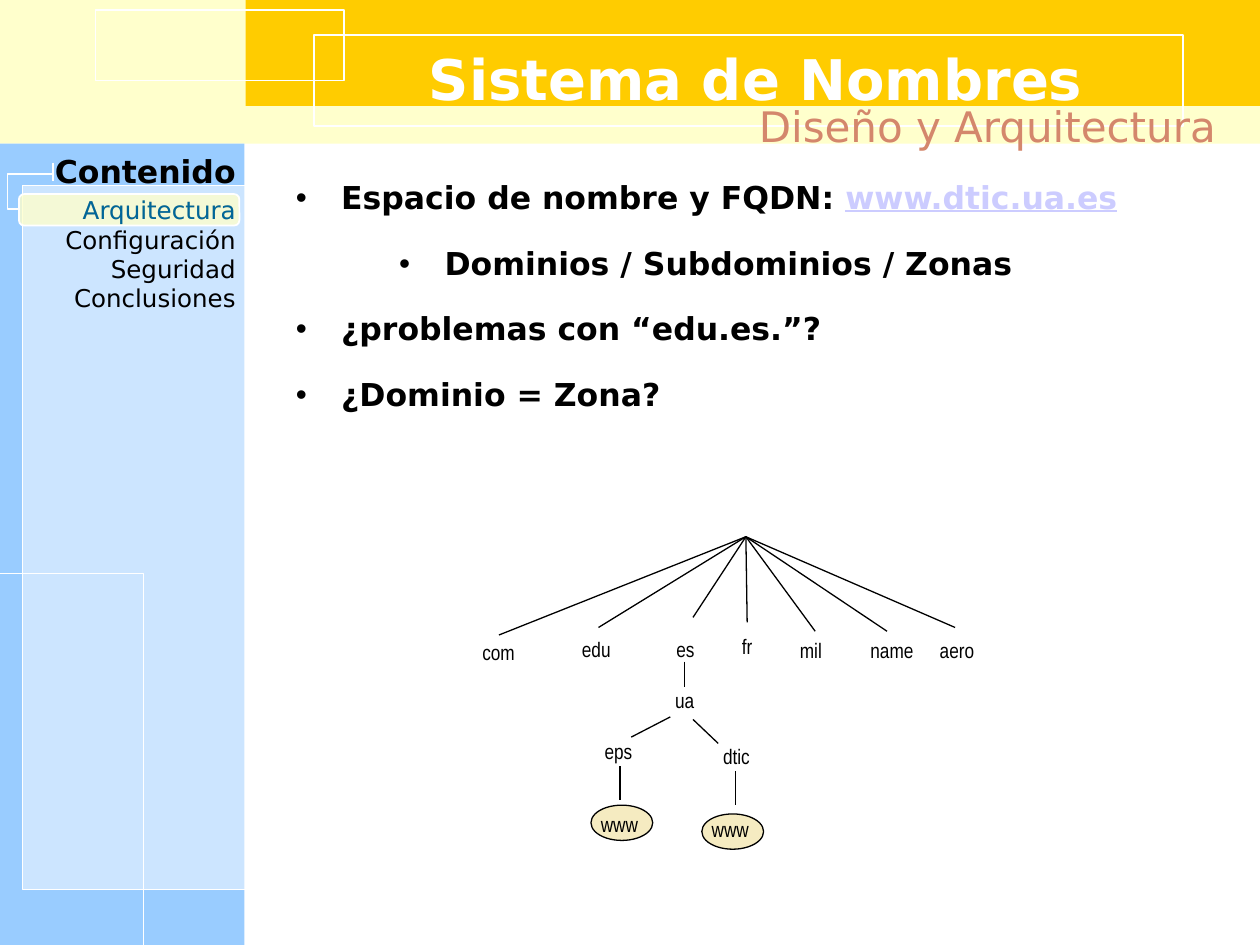
from lxml import etree
from pptx import Presentation
from pptx.dml.color import RGBColor
from pptx.enum.shapes import MSO_CONNECTOR, MSO_SHAPE
from pptx.enum.text import MSO_ANCHOR, PP_ALIGN
from pptx.oxml.ns import qn
from pptx.util import Inches, Pt

SANS, NARROW = "DejaVu Sans", "Arial Narrow"
BLACK, WHITE, CREAM = "000000", "FFFFFF", "FFFFCC"


def rgb(color):
    return RGBColor.from_string(color)


def style_outline(shape, fill=None, line=None, weight=0.75, opacity=None):
    """Set fill and line, where None means none, and drop the shadow."""
    shape.shadow.inherit = False
    if fill:
        shape.fill.solid()
        shape.fill.fore_color.rgb = rgb(fill)
        if opacity:
            tint = shape._element.spPr.find(qn("a:solidFill")).find(qn("a:srgbClr"))
            etree.SubElement(tint, qn("a:alpha"), val=str(opacity * 1000))
    else:
        shape.fill.background()
    if line:
        shape.line.color.rgb = rgb(line)
        shape.line.width = Pt(weight)
    else:
        shape.line.fill.background()


def add_preset(slide, preset, left, top, width, height, **style):
    shape = slide.shapes.add_shape(
        preset, Inches(left), Inches(top), Inches(width), Inches(height))
    style_outline(shape, **style)
    return shape


def add_line(slide, start, end, color=BLACK):
    line = slide.shapes.add_connector(
        MSO_CONNECTOR.STRAIGHT, *(Inches(v) for v in (*start, *end)))
    line.line.color.rgb = rgb(color)
    line.line.width = Pt(0.75)
    etree.SubElement(line._element.spPr, qn("a:effectLst"))


def set_font(paragraph, size, color, name=SANS, bold=False):
    font = paragraph.font
    font.name, font.size, font.bold = name, Pt(size), bold
    font.color.rgb = rgb(color)


def add_text(slide, left, top, width, height, lines, size, color=BLACK,
             name=SANS, bold=False, align=PP_ALIGN.RIGHT):
    frame = slide.shapes.add_textbox(
        Inches(left), Inches(top), Inches(width), Inches(height)).text_frame
    frame.word_wrap = True
    frame.text = "\n".join(lines)
    for paragraph in frame.paragraphs:
        paragraph.alignment = align
        set_font(paragraph, size, color, name, bold)
    return frame


def add_header(slide, left, top, width):
    rect = MSO_SHAPE.RECTANGLE
    add_preset(slide, rect, left, top, width, 1.14, fill=CREAM)
    add_preset(slide, rect, left + 1.95, top, width - 1.95, 0.84, fill="FFCC00")
    add_preset(slide, rect, left + 2.49, top + 0.28, 6.9, 0.72, line=WHITE, weight=1)
    add_preset(slide, rect, left + 0.76, top + 0.08, 1.97, 0.56, line=WHITE)

    title = slide.shapes.title
    title.left, title.top = Inches(left + 2.08), Inches(top + 0.22)
    title.width, title.height = Inches(7.84), Inches(0.8)
    title.text_frame.text = "Sistema de Nombres"
    title.text_frame.vertical_anchor = MSO_ANCHOR.MIDDLE
    heading = title.text_frame.paragraphs[0]
    heading.alignment = PP_ALIGN.CENTER
    set_font(heading, 32, WHITE, bold=True)
    slide.shapes._spTree.append(title._element)  # in front of the bands

    add_text(slide, left + 1.95, top + 0.75, 7.8, 0.57,
             ["Diseño y Arquitectura"], 24, "D4876C")


def add_sidebar(slide, left, top, width, height):
    rect = MSO_SHAPE.RECTANGLE
    add_preset(slide, rect, left, top, width, height, fill="99CCFF")
    add_preset(slide, rect, left - 0.02, top + 3.41, 1.16, 2.96, line=WHITE)
    add_preset(slide, rect, left + 0.18, top + 0.33, 1.77, 5.59,
               fill=WHITE, line=WHITE, opacity=50)
    sections = ["Arquitectura", "Configuración", "Seguridad", "Conclusiones"]
    add_text(slide, left, top + 0.36, 1.97, 1.03, sections, 14)
    add_text(slide, left, top + 0.02, 1.97, 0.4, ["Contenido"], 18, bold=True)
    add_line(slide, (left + 0.42, top + 0.15), (left + 0.42, top + 0.3), WHITE)

    marker = add_preset(slide, MSO_SHAPE.ROUNDED_RECTANGLE, left + 0.15, top + 0.4,
                        1.75, 0.25, fill=CREAM, line=WHITE, weight=1, opacity=80)
    marker.adjustments[0] = 0.167
    add_text(slide, left + 0.14, top + 0.36, 1.83, 0.33, sections[:1], 14, "006699")
    hook = [(Inches(left + x), Inches(top + y))
            for x, y in ((0.41, 0.24), (0.06, 0.24), (0.06, 0.52), (0.14, 0.52))]
    builder = slide.shapes.build_freeform(*hook[0])
    builder.add_line_segments(hook[1:], close=False)
    style_outline(builder.convert_to_shape(), line=WHITE, weight=1)


def set_bullet(paragraph, indent):
    props = paragraph._p.get_or_add_pPr()
    props.set("marL", str(Inches(indent)))
    props.set("indent", str(Inches(-0.36)))
    color = etree.Element(qn("a:buClr"))
    etree.SubElement(color, qn("a:srgbClr"), val=BLACK)
    bullet_font = etree.Element(qn("a:buFont"), typeface="Arial")
    bullet = etree.Element(qn("a:buChar"), char="•")
    text_font = props.find(qn("a:defRPr"))
    for part in (color, bullet_font, bullet):
        text_font.addprevious(part)


def add_points(slide, left, top, width, height):
    points = [("Espacio de nombre y FQDN: ", 0),
              ("Dominios / Subdominios / Zonas", 1),
              ("¿problemas con “edu.es.”?", 0),
              ("¿Dominio = Zona?", 0)]
    frame = add_text(slide, left, top, width, height, [text for text, _ in points],
                     18, bold=True, align=PP_ALIGN.LEFT)
    for paragraph, (_, level) in zip(frame.paragraphs, points):
        paragraph.level = level
        paragraph.line_spacing = 0.9
        paragraph.space_before, paragraph.space_after = Pt(13.5), Pt(4.5)
        set_bullet(paragraph, 1.18 if level else 0.36)
    address = frame.paragraphs[0].add_run()
    address.text = "www.dtic.ua.es"
    address.font.underline = True
    address.font.color.rgb = rgb("CCCCFF")


def add_domain_tree(slide, left, top):
    def place(point):
        return left + point[0], top + point[1]

    def add_label(text, x, y, width=0.6):
        add_text(slide, *place((x, y)), width, 0.3, [text], 12,
                 name=NARROW, align=PP_ALIGN.LEFT)

    root = (2.19, 0.01)
    # name, label corner, end of the branch from the root
    top_domains = [("com", (0, 0.78), (0.23, 0.79)),
                   ("edu", (0.79, 0.75), (1.02, 0.73)),
                   ("es", (1.54, 0.75), (1.77, 0.65)),
                   ("fr", (2.06, 0.73), (2.2, 0.69)),
                   ("mil", (2.52, 0.76), (2.74, 0.76)),
                   ("name", (3.08, 0.76), (3.31, 0.76)),
                   ("aero", (3.63, 0.76), (3.85, 0.73))]
    for name, corner, end in top_domains:
        add_line(slide, place(root), place(end))
        add_label(name, *corner)

    add_line(slide, place((1.7, 1)), place((1.7, 1.2)))
    add_label("ua", 1.53, 1.16)

    # name, label corner, branch from "ua", host line top, host oval, host label
    subdomains = [("eps", (0.97, 1.56), (1.59, 1.44), (1.28, 1.6),
                   (1.19, 1.83), (0.96, 2.14), (0.94, 2.14)),
                  ("dtic", (1.91, 1.6), (1.77, 1.46), (1.97, 1.65),
                   (2.11, 1.87), (1.84, 2.21), (1.82, 2.18))]
    for name, corner, start, end, (x, y), oval, host in subdomains:
        add_line(slide, place(start), place(end))
        add_label(name, *corner)
        add_line(slide, place((x, y)), place((x, y + 0.27)))
        add_preset(slide, MSO_SHAPE.OVAL, *place(oval), 0.49, 0.28,
                   fill="F5EBC1", line=BLACK)
        add_label("www", *host, width=0.74)


def main():
    deck = Presentation()
    deck.slide_width, deck.slide_height = Inches(10), Inches(7.5)
    slide = deck.slides.add_slide(deck.slide_layouts[5])
    add_header(slide, 0, 0, 10)
    add_sidebar(slide, 0, 1.14, 1.94, 6.36)
    add_points(slide, 2.25, 1.4, 7.56, 3.07)
    add_domain_tree(slide, 3.73, 4.25)
    deck.save("out.pptx")


if __name__ == "__main__":
    main()
